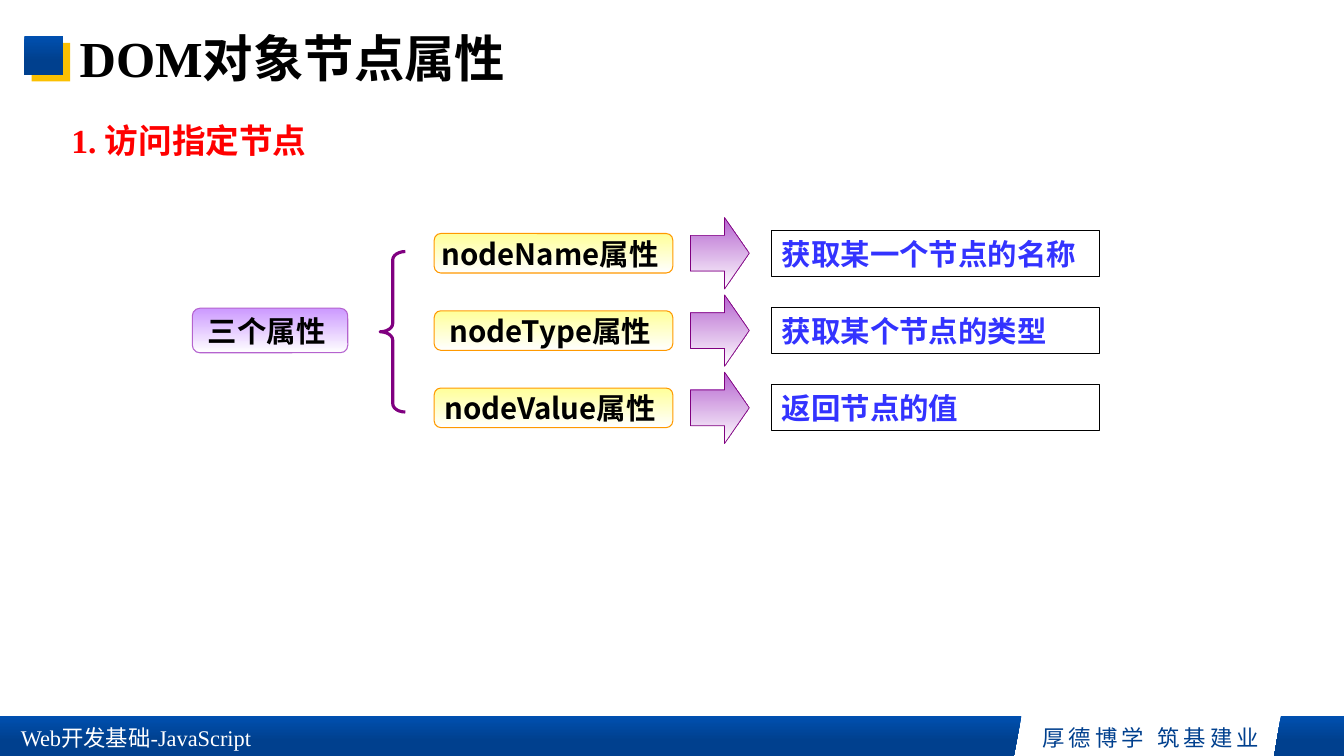
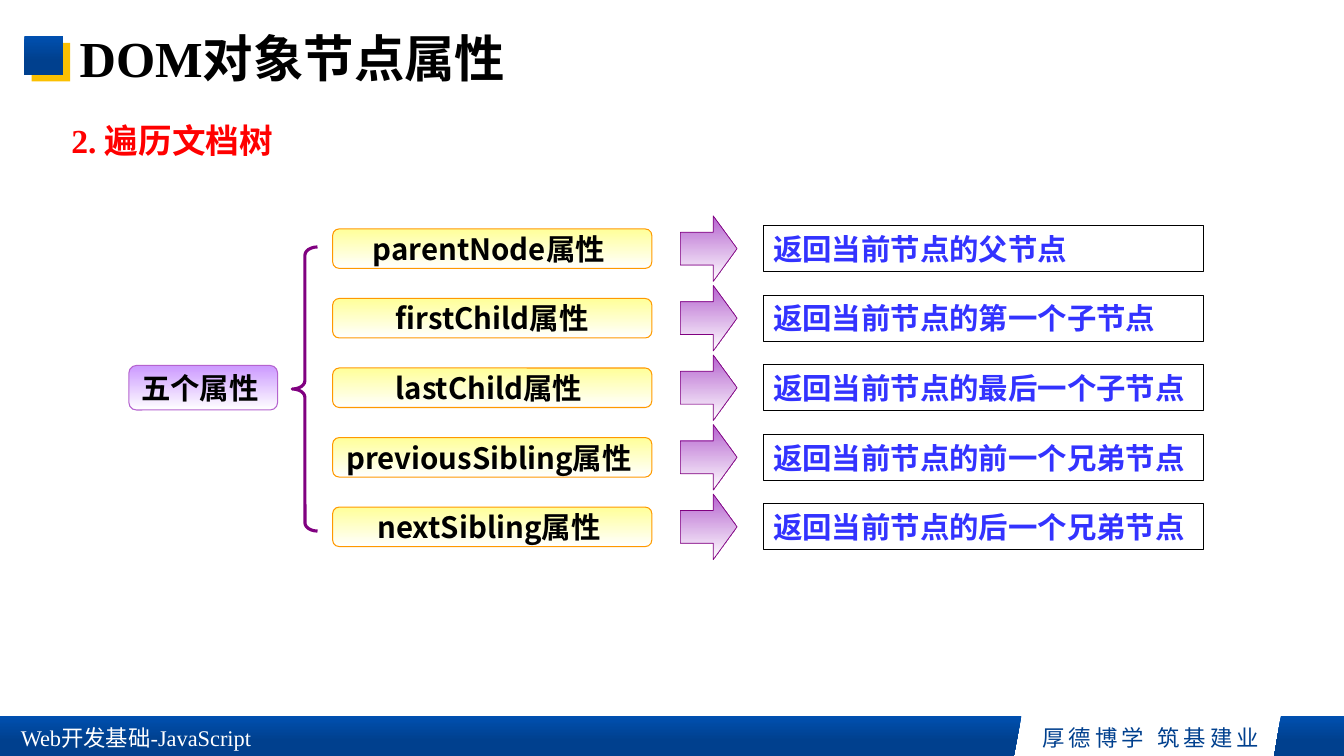
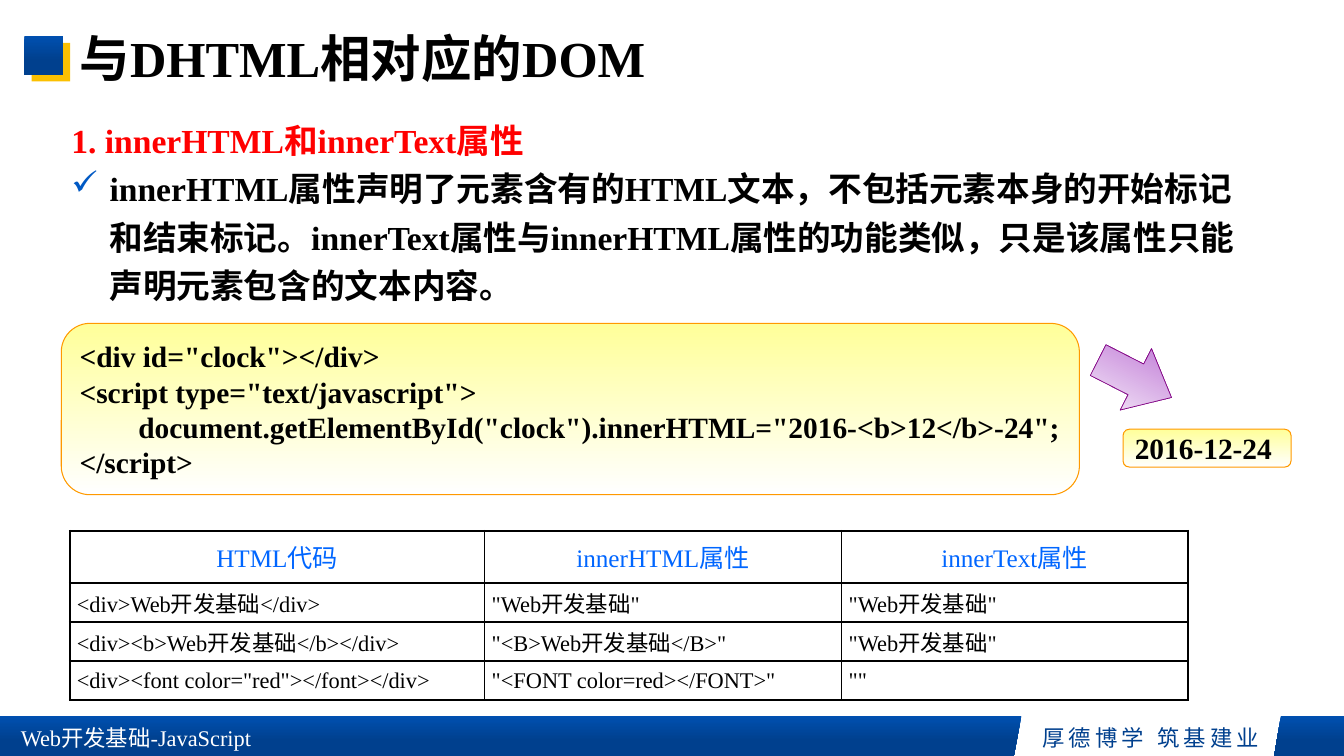
"""Builds three slides on DOM node properties and the DHTML object model."""
from dataclasses import dataclass

from lxml import etree
from pptx import Presentation
from pptx.dml.color import RGBColor
from pptx.enum.shapes import MSO_SHAPE
from pptx.enum.text import MSO_ANCHOR, PP_ALIGN
from pptx.oxml.ns import qn
from pptx.util import Emu, Inches, Pt

RECT = MSO_SHAPE.RECTANGLE
ROUND = MSO_SHAPE.ROUNDED_RECTANGLE
ARROW = MSO_SHAPE.RIGHT_ARROW
BRACE = MSO_SHAPE.LEFT_BRACE
LEFT, CENTER = PP_ALIGN.LEFT, PP_ALIGN.CENTER
TOP, MIDDLE = MSO_ANCHOR.TOP, MSO_ANCHOR.MIDDLE

WIDTH, HEIGHT = Inches(13.33), Inches(7.5)
COLS, ROWS = 160, 90


@dataclass(frozen=True)
class Theme:
    serif: str = "Times New Roman"
    sans: str = "Noto Sans CJK SC"
    black: str = "000000"
    white: str = "FFFFFF"
    red: str = "FF0000"
    blue: str = "3333FF"
    azure: str = "0066FF"
    tick: str = "0059C4"
    navy: str = "00408E"
    gold: str = "FBC001"
    orange: str = "FF9900"
    orchid: str = "B563CF"
    purple: str = "800080"
    band: tuple = ("0050B0", "00408E", 0.62)
    lemon: tuple = ("FFFF99", "FFFFFF", 1)
    lilac: tuple = ("CC99FF", "FFFFFF", 1)
    plum: tuple = ("B563CF", "FFFFFF", 1)
    title: int = 36
    body: int = 24
    label: int = 21
    head: int = 18
    small: int = 16


LOOK = Theme()


@dataclass(frozen=True)
class Plan:
    root: tuple
    brace: float
    label: tuple
    arrow: tuple
    note: tuple
    first: float
    pitch: float


def across(cols):
    return Emu(round(WIDTH * cols / COLS))


def down(rows):
    return Emu(round(HEIGHT * rows / ROWS))


def place(left, top, width, height):
    return across(left), down(top), across(width), down(height)


def tint(hue):
    return RGBColor.from_string(hue)


def paint(fill, hue):
    if hue is None:
        fill.background()
    elif isinstance(hue, str):
        fill.solid()
        fill.fore_color.rgb = tint(hue)
    else:
        start, end, stop = hue
        fill.gradient()
        fill.gradient_angle = 270
        for mark, shade, spot in zip(fill.gradient_stops, (start, end), (0, stop)):
            mark.color.rgb = tint(shade)
            mark.position = spot


def style(shape, fill, edge, weight):
    shape.shadow.inherit = False
    paint(shape.fill, fill)
    paint(shape.line.fill, edge)
    if edge:
        shape.line.width = Pt(weight)


def write(frame, text, size=LOOK.label, color=LOOK.black, font=LOOK.sans, bold=True,
          align=LEFT, anchor=MIDDLE, wrap=True, lead=None, track=0, tick=None):
    frame.word_wrap = wrap
    frame.vertical_anchor = anchor
    for line in text.split("\n"):
        para = frame.add_paragraph() if frame.text else frame.paragraphs[0]
        para.alignment = align
        if lead:
            para.line_spacing = lead
        if tick:
            bullet(para, tick)
        run = para.add_run()
        run.text = line
        run.font.size = Pt(size)
        run.font.bold = bold
        run.font.color.rgb = tint(color)
        run.font.name = font
        props = run.font._element
        east = etree.Element(qn("a:ea"), typeface=LOOK.sans)
        props.find(qn("a:latin")).addnext(east)
        if track:
            props.set("spc", str(track * 100))


def bullet(para, mark):
    props = para._p.get_or_add_pPr()
    indent = Inches(0.38)
    props.set("marL", str(indent))
    props.set("indent", str(-indent))
    hue = etree.SubElement(props, qn("a:buClr"))
    etree.SubElement(hue, qn("a:srgbClr"), val=LOOK.tick)
    etree.SubElement(props, qn("a:buChar"), char=mark)


def draw(slide, kind, box, fill=None, edge=None, weight=0.75, bend=(), turn=0):
    shape = slide.shapes.add_shape(kind, *place(*box))
    for spot, value in enumerate(bend):
        shape.adjustments[spot] = value
    shape.rotation = turn
    style(shape, fill, edge, weight)
    return shape


def label(slide, box, text, fill=LOOK.lemon, edge=LOOK.orange, **form):
    shape = draw(slide, ROUND, box, fill, edge)
    write(shape.text_frame, text, wrap=False, **form)


def arrow(slide, box, bend=0.42, turn=0):
    draw(slide, ARROW, box, LOOK.plum, LOOK.purple, 0.5, (0.5, bend), turn)


def words(slide, box, text, **form):
    frame = slide.shapes.add_textbox(*place(*box)).text_frame
    write(frame, text, **form)
    return frame


def band(slide):
    parts = (
        ((152.5, 85.2), (COLS, 85.2), (COLS, ROWS), (151.7, ROWS)),
        ((0, 85.2), (121.6, 85.2), (120.7, ROWS), (0, ROWS)),
    )
    spots = [[(across(x), down(y)) for x, y in part] for part in parts]
    path = slide.shapes.build_freeform(*spots[0][0], scale=1.0)
    path.add_line_segments(spots[0][1:])
    path.move_to(*spots[1][0])
    path.add_line_segments(spots[1][1:])
    style(path.convert_to_shape(), LOOK.band, None, 0)


def page(deck, title, topic):
    slide = deck.slides.add_slide(deck.slide_layouts[6])
    band(slide)
    for left, text in ((116.4, "厚德博学"), (130.1, "筑基建业")):
        words(slide, (left, 85.55, 27.5, 4.45), text, size=LOOK.small,
              color=LOOK.navy, bold=False, align=CENTER, track=3)
    words(slide, (1.3, 85.55, 33.4, 4.45), "Web开发基础-JavaScript", size=LOOK.small,
          color=LOOK.white, font=LOOK.serif, bold=False)
    draw(slide, RECT, (3.75, 5.1, 4.6, 4.6), LOOK.gold)
    draw(slide, RECT, (2.9, 4.3, 4.6, 4.6), LOOK.band)
    words(slide, (8.3, 0.7, 138, 13.2), title, size=LOOK.title, font=LOOK.serif, lead=0.9)
    frame = words(slide, (7.3, 12.7, 143, 66.2), topic, size=LOOK.body, color=LOOK.red,
                  font=LOOK.serif, anchor=TOP, lead=1.2)
    return slide, frame


def tree(slide, plan, root, pairs):
    def level(slot, mid, height):
        left, width = slot
        return left, mid - height / 2, width, height

    span = plan.pitch * (len(pairs) - 1)
    center = plan.first + span / 2
    label(slide, level(plan.root, center, 5.3), root, LOOK.lilac, LOOK.orchid, align=CENTER)
    draw(slide, BRACE, level((plan.brace, 3), center + 0.15, span + 0.7),
         edge=LOOK.purple, weight=2.25, bend=(0.33, 0.5))
    for row, (name, note) in enumerate(pairs):
        mid = plan.first + row * plan.pitch
        label(slide, level(plan.label, mid, 4.7), name, align=CENTER)
        left, width, height = plan.arrow
        arrow(slide, level((left, width), mid, height))
        shape = draw(slide, RECT, level(plan.note, mid, 5.5), edge=LOOK.black)
        write(shape.text_frame, note, color=LOOK.blue)


def border(cell, sides):
    props = cell._tc.get_or_add_tcPr()
    for side, weight in zip("LRTB", sides):
        line = etree.SubElement(props, qn("a:ln" + side), w=str(Pt(weight)))
        fill = etree.SubElement(line, qn("a:solidFill"))
        etree.SubElement(fill, qn("a:srgbClr"), val=LOOK.black)


def grid(slide, left, top, widths, heights, data):
    box = place(left, top, sum(widths), sum(heights))
    table = slide.shapes.add_table(len(heights), len(widths), *box).table
    table.first_row = table.horz_banding = False
    for col, width in zip(table.columns, widths):
        col.width = across(width)
    for row, height in zip(table.rows, heights):
        row.height = down(height)
    ends = len(heights) - 1, len(widths) - 1
    for r, line in enumerate(data):
        for c, text in enumerate(line):
            cell = table.cell(r, c)
            outer = (c == 0, c == ends[1], r == 0, r == ends[0])
            border(cell, [1.5 if edge else 1 for edge in outer])
            cell.fill.background()
            if r:
                cell.margin_left = cell.margin_right = across(0.85)
                cell.margin_top = cell.margin_bottom = 0
                form = {"size": LOOK.small}
            else:
                form = {"size": LOOK.head, "color": LOOK.azure, "align": CENTER}
            write(cell.text_frame, text, font=LOOK.serif, bold=False, **form)
            cell.vertical_anchor = MIDDLE


def access(deck):
    slide, _ = page(deck, "DOM对象节点属性", "1. 访问指定节点")
    plan = Plan(root=(22.9, 18.5), brace=45.25, label=(51.7, 28.4), arrow=(82.2, 7, 8.5),
                note=(91.9, 39), first=30.15, pitch=9.2)
    tree(slide, plan, "三个属性 ", (
        ("nodeName属性 ", "获取某一个节点的名称"),
        ("nodeType属性 ", "获取某个节点的类型"),
        ("nodeValue属性 ", "返回节点的值"),
    ))


def travel(deck):
    slide, _ = page(deck, "DOM对象节点属性", "2. 遍历文档树")
    plan = Plan(root=(15.35, 17.7), brace=34.8, label=(39.6, 38), arrow=(81, 6.75, 7.8),
                note=(90.85, 52.4), first=29.6, pitch=8.28)
    tree(slide, plan, "五个属性 ", (
        ("parentNode属性 ", "返回当前节点的父节点"),
        ("firstChild属性", "返回当前节点的第一个子节点"),
        ("lastChild属性 ", "返回当前节点的最后一个子节点"),
        ("previousSibling属性 ", "返回当前节点的前一个兄弟节点"),
        ("nextSibling属性 ", "返回当前节点的后一个兄弟节点"),
    ))


def markup(deck):
    slide, frame = page(deck, "与DHTML相对应的DOM", "1. innerHTML和innerText属性")
    write(frame, "innerHTML属性声明了元素含有的HTML文本，不包括元素本身的开始标记和结束标记。"
          "innerText属性与innerHTML属性的功能类似，只是该属性只能声明元素包含的文本内容。",
          size=LOOK.body, font=LOOK.serif, anchor=TOP, lead=1.2, tick="✓")
    code = "\n".join((
        '<div id="clock"></div>',
        '<script type="text/javascript">',
        '        document.getElementById("clock").innerHTML="2016-<b>12</b>-24";',
        '</script>',
    ))
    label(slide, (7.3, 38.5, 121.2, 20.4), code, font=LOOK.serif)
    label(slide, (133.7, 51.1, 20, 4.5), "2016-12-24", font=LOOK.serif)
    arrow(slide, (130.2, 41, 9.8, 8.2), bend=0.58, turn=27)
    grid(slide, 8.3, 63.2, (49.4, 42.5, 41.2), (6.2, 4.65, 4.65, 4.65), (
        ("HTML代码", "innerHTML属性", "innerText属性"),
        ("<div>Web开发基础</div>", '"Web开发基础"', '"Web开发基础"'),
        ("<div><b>Web开发基础</b></div>", '"<B>Web开发基础</B>"', '"Web开发基础"'),
        ('<div><font color="red"></font></div>', '"<FONT color=red></FONT>"', '""'),
    ))


def main():
    deck = Presentation()
    deck.slide_width, deck.slide_height = WIDTH, HEIGHT
    for build in (access, travel, markup):
        build(deck)
    deck.save("out.pptx")


if __name__ == "__main__":
    main()
